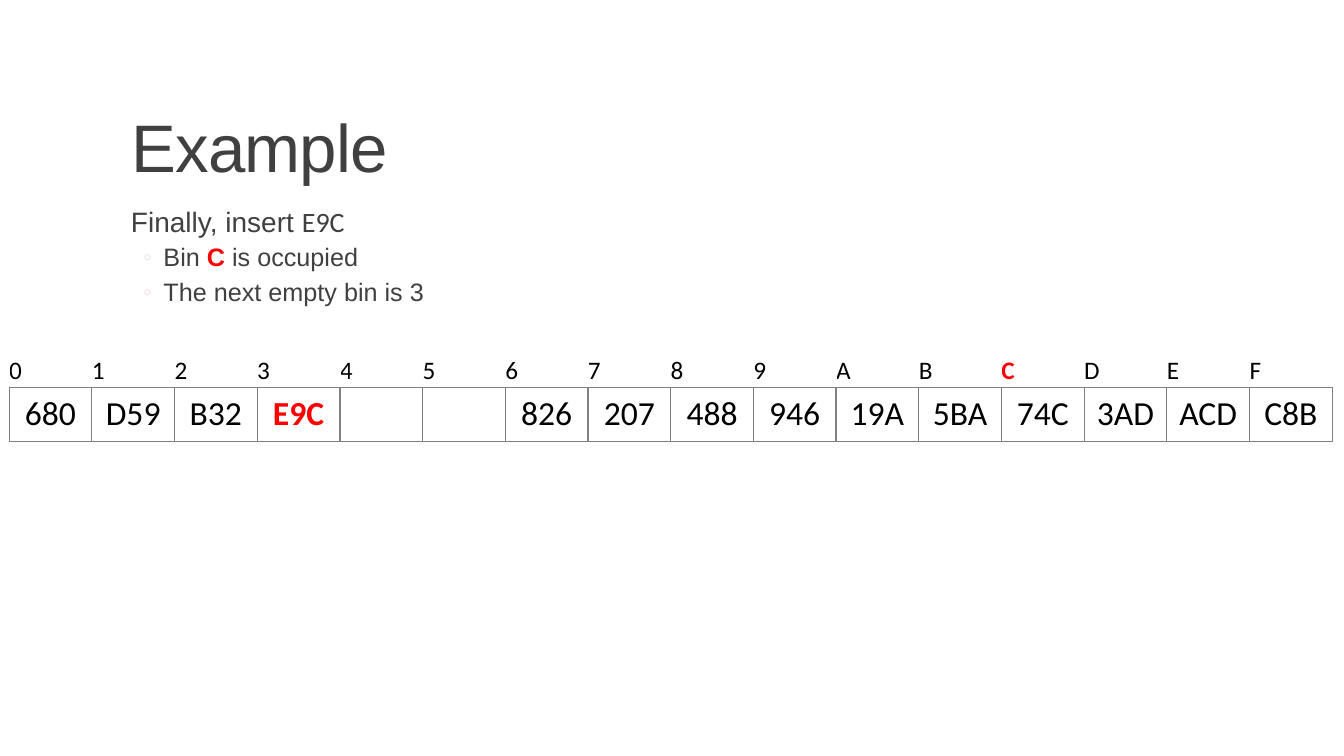
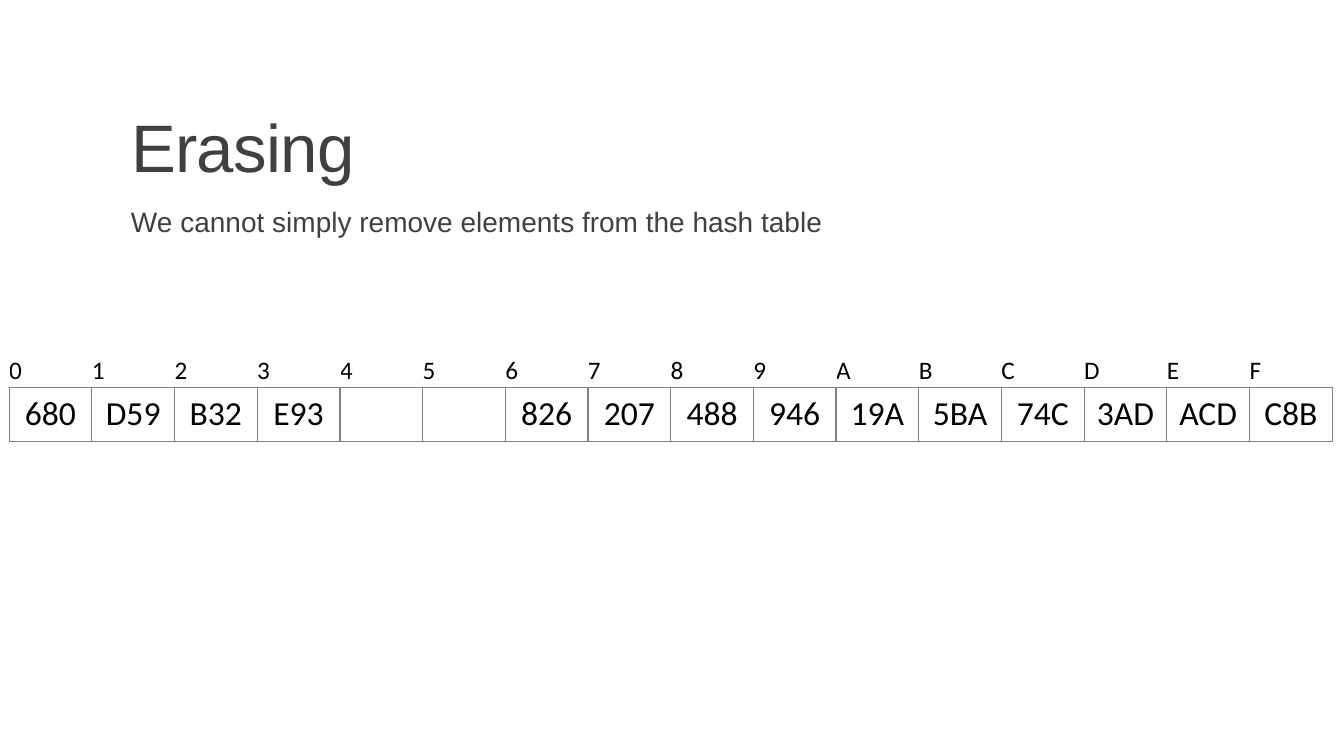
from lxml import etree
from pptx import Presentation
from pptx import util as u
from pptx.dml import color
from pptx.enum import text
from pptx.oxml import ns

INK, RED, BLACK = "404040", "FF0000", "000000"
GREY, BULLET = "808080", "F2DCDB"
BINS = "0123456789ABCDEF"
VALUES = ["680", "D59", "B32", "", "", "", "826", "207",
          "488", "946", "19A", "5BA", "74C", "3AD", "ACD", "C8B"]

SLIDES = [
    {"title": "Example",
     "body": [(0, [("Finally, insert ", ""), ("E9C", "code")]),
              (1, [("Bin ", ""), ("C ", "key"), ("is occupied", "")]),
              (1, [("The next empty bin is 3", "")])],
     "bin3": "E9C", "marked": [(0, 12), (1, 3)]},
    {"title": "Erasing",
     "body": [(0, [("We cannot simply remove elements from the hash table", "")])],
     "bin3": "E93", "marked": []},
]


def set_font(font, name, size, hex_color, bold=False):
    font.name, font.size, font.bold = name, u.Pt(size), bold
    font.color.rgb = color.RGBColor.from_string(hex_color)


def add_xml(parent, tag, hex_color=None, **attrs):
    el = etree.SubElement(parent, ns.qn(tag), attrs)
    if hex_color:
        holder = el if tag == "a:buClr" else etree.SubElement(el, ns.qn("a:solidFill"))
        etree.SubElement(holder, ns.qn("a:srgbClr"), val=hex_color)
    return el


prs = Presentation()
prs.slide_width, prs.slide_height = u.Cm(33.87), u.Cm(19.05)

for content in SLIDES:
    s = prs.slides.add_slide(prs.slide_layouts[1])

    title, body = s.shapes.title, s.placeholders[1]
    for sp, top, height in ((title, 0.79, 4.04), (body, 5.13, 11.18)):
        sp.left, sp.top = u.Cm(3.05), u.Cm(top)
        sp.width, sp.height = u.Cm(27.94), u.Cm(height)
        sp.text_frame.word_wrap = True
        sp.text_frame.auto_size = text.MSO_AUTO_SIZE.NONE

    title.text_frame.vertical_anchor = text.MSO_ANCHOR.BOTTOM
    p = title.text_frame.paragraphs[0]
    p.alignment, p.line_spacing = text.PP_ALIGN.LEFT, 0.85
    r = p.add_run()
    r.text = content["title"]
    set_font(p.font, "Arial", 48, INK)
    r._r.get_or_add_rPr().set("spc", "-50")

    tf = body.text_frame
    tf.margin_left = tf.margin_right = 0
    for i, (level, runs) in enumerate(content["body"]):
        p = tf.add_paragraph() if i else tf.paragraphs[0]
        p.level, p.line_spacing = level, 0.9
        p.space_before = u.Pt(2 if i else 0)
        p.space_after = u.Pt(4 if level else 2)
        pPr = p._p.get_or_add_pPr()
        pPr.set("marL", str(u.Cm(1.07 if level else 0.25)))
        pPr.set("indent", str(u.Cm(-0.51 if level else 0)))
        if level:
            add_xml(pPr, "a:buClr", BULLET)
            add_xml(pPr, "a:buChar", char="◦")
        else:
            add_xml(pPr, "a:buNone")
        set_font(p.font, "Arial", 18 if level else 20, INK)
        for words, kind in runs:
            r = p.add_run()
            r.text = words
            if kind == "code":
                r.font.name = "Calibri"
            elif kind == "key":
                r.font.bold = True
                r.font.color.rgb = color.RGBColor.from_string(RED)

    table = s.shapes.add_table(2, len(BINS), u.Cm(0.23), u.Cm(8.92),
                               u.Cm(33.35), u.Cm(2.21)).table
    table.first_row = table.horz_banding = False
    table.rows[0].height, table.rows[1].height = u.Cm(0.84), u.Cm(1.37)
    values = VALUES[:3] + [content["bin3"]] + VALUES[4:]
    for row, labels in enumerate((BINS, values)):
        for col, label in enumerate(labels):
            cell = table.cell(row, col)
            cell.margin_left = cell.margin_right = 0
            cell.margin_top = cell.margin_bottom = 0
            cell.vertical_anchor = text.MSO_ANCHOR.MIDDLE
            for side in ("L", "R", "T", "B") if row else ("B",):
                add_xml(cell._tc.get_or_add_tcPr(), f"a:ln{side}", GREY, w=str(u.Pt(1)))
            cell.fill.background()
            p = cell.text_frame.paragraphs[0]
            p.alignment = text.PP_ALIGN.CENTER if row else text.PP_ALIGN.LEFT
            marked = (row, col) in content["marked"]
            set_font(p.font, "Calibri", 24 if row else 18, RED if marked else BLACK, marked)
            if label:
                p.add_run().text = label

prs.save("out.pptx")
